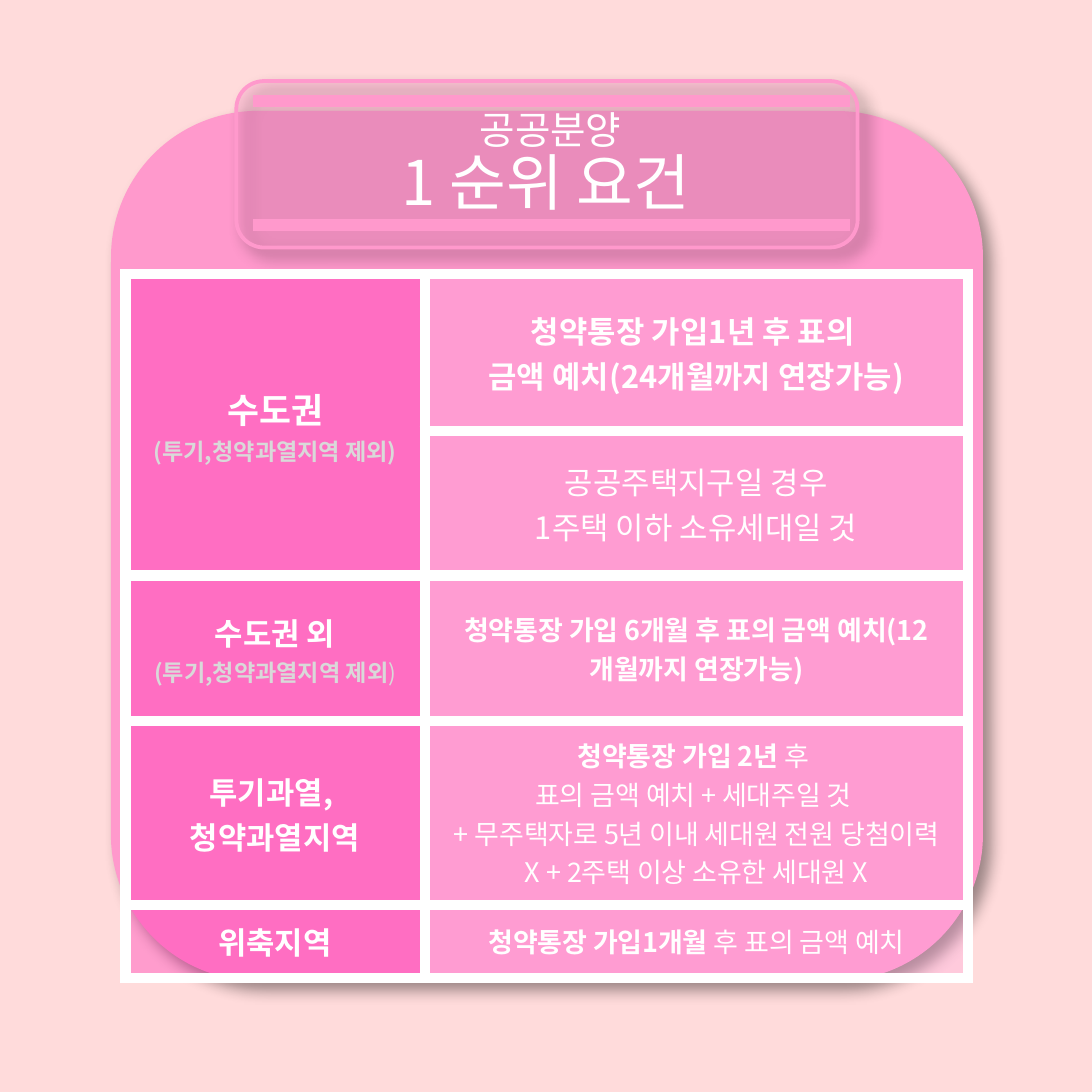
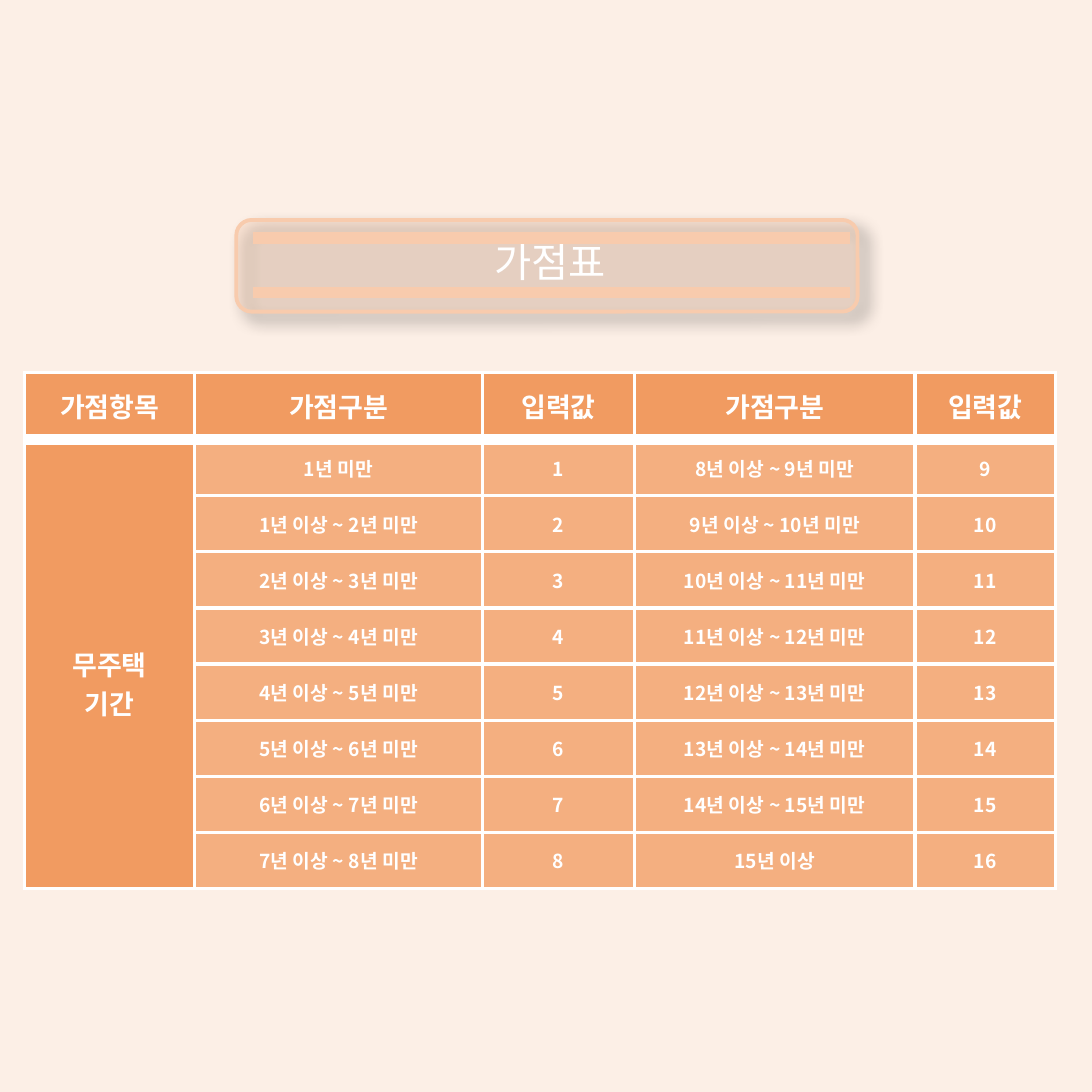
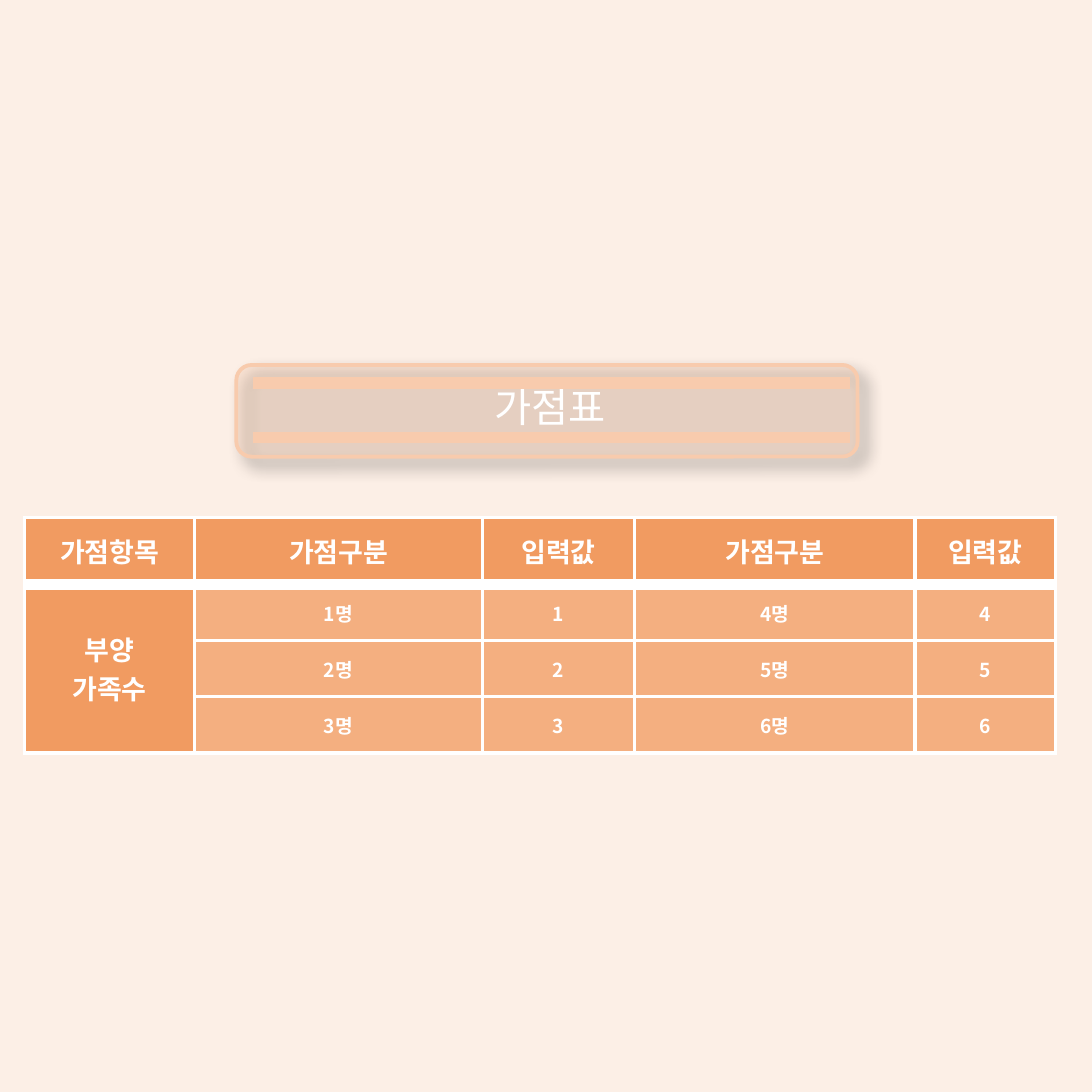
from dataclasses import dataclass
from typing import Optional

from lxml.etree import SubElement
from pptx import Presentation
from pptx.dml.color import RGBColor
from pptx.enum.shapes import MSO_CONNECTOR as Connector, MSO_SHAPE as Shape
from pptx.enum.text import MSO_ANCHOR as Anchor, PP_ALIGN as Align
from pptx.oxml.ns import qn
from pptx.util import Cm, Emu, Pt

SIDE = Cm(10)
FONT = "Noto Sans CJK KR"
COLORS = {
    "white": "FFFFFF",
    "gray": "D9D9D9",
    "rose": "FF9999",
    "pink": "FF99CC",
    "magenta": "FF0DAE",
    "orchid": "FFA3E0",
    "cream": "FBE5D6",
    "peach": "F8CBAD",
    "orange": "F19B61",
    "apricot": "F4AF80",
}


@dataclass(frozen=True)
class Span:
    text: str
    size: float
    bold: bool = False
    color: str = "white"


Line = tuple[Span, ...]


@dataclass(frozen=True)
class Cell:
    lines: tuple[Line, ...]
    fill: str
    opacity: int = 100
    anchor: Anchor = Anchor.TOP
    bottom_edge: Optional[float] = None
    margin_top: float = 1.27


@dataclass(frozen=True)
class Band:
    top: float
    height: float
    color: str
    text_offset: float
    rule_offsets: tuple[float, float]
    lines: tuple[Line, ...]


@dataclass(frozen=True)
class Grid:
    left: float
    top: float
    columns: tuple[float, ...]
    rows: tuple[float, ...]
    edge: float
    cells: tuple[tuple[Optional[Cell], ...], ...]


def share(percent: float) -> Emu:
    return Emu(round(SIDE * percent / 100))


def rgb(name: str) -> RGBColor:
    return RGBColor.from_string(COLORS[name])


def set_opacity(element, percent: int) -> None:
    if percent < 100:
        color = next(element.iter(qn("a:srgbClr")))
        SubElement(color, qn("a:alpha"), val=str(percent * 1000))


def add_page(deck, color: str, opacity: int):
    page = deck.slides.add_slide(deck.slide_layouts[6])
    fill = page.background.fill
    fill.solid()
    fill.fore_color.rgb = rgb(color)
    set_opacity(page.element, opacity)
    return page


def write(frame, lines: tuple[Line, ...], spacing: float = 1.0) -> None:
    frame.word_wrap = True
    for index, line in enumerate(lines):
        para = frame.add_paragraph() if index else frame.paragraphs[0]
        para.alignment = Align.CENTER
        para.line_spacing = spacing
        for span in line:
            run = para.add_run()
            run.text = span.text
            run.font.size = Pt(span.size)
            run.font.bold = span.bold
            run.font.color.rgb = rgb(span.color)
            run.font.name = FONT
            SubElement(run.font._element, qn("a:ea"), typeface=FONT)


def add_panel(page, left: float, top: float, width: float, height: float,
              color: str, opacity: int = 100) -> None:
    panel = page.shapes.add_shape(
        Shape.ROUNDED_RECTANGLE, *map(share, (left, top, width, height)))
    panel.fill.solid()
    panel.fill.fore_color.rgb = rgb(color)
    set_opacity(panel.element, opacity)
    panel.line.color.rgb = rgb(color)
    panel.line.width = Pt(1)
    panel.shadow.inherit = False
    effects = next(panel.element.iter(qn("a:effectLst")))
    shadow = SubElement(effects, qn("a:outerShdw"), blurRad=str(Pt(4)), dist=str(Pt(3)),
                        dir="2700000", algn="tl", rotWithShape="0")
    black = SubElement(shadow, qn("a:srgbClr"), val="000000")
    SubElement(black, qn("a:alpha"), val="40000")


def add_band(page, band: Band) -> None:
    add_panel(page, 21.65, band.top, 56.9, band.height, band.color, 30)
    box = page.shapes.add_textbox(
        *map(share, (23.1, band.top + band.text_offset, 54.6, 8.4)))
    box.text_frame.vertical_anchor = Anchor.BOTTOM
    write(box.text_frame, band.lines, 0.9)
    for offset in band.rule_offsets:
        y = share(band.top + offset)
        rule = page.shapes.add_connector(
            Connector.STRAIGHT, share(23.2), y, share(77.85), y)
        rule.line.color.rgb = rgb(band.color)
        rule.line.width = Pt(3)
        SubElement(rule.element.find(qn("p:spPr")), qn("a:effectLst"))


def set_edges(properties, edge: float, bottom: Optional[float]) -> None:
    for index, side in enumerate(("lnL", "lnR", "lnT", "lnB")):
        width = bottom if side == "lnB" and bottom else edge
        line = SubElement(properties, qn(f"a:{side}"), w=str(Pt(width)))
        fill = SubElement(line, qn("a:solidFill"))
        SubElement(fill, qn("a:srgbClr"), val=COLORS["white"])
        properties.insert(index, line)


def add_grid(page, grid: Grid) -> None:
    frame = page.shapes.add_table(
        len(grid.rows), len(grid.columns), share(grid.left), share(grid.top),
        share(sum(grid.columns)), share(sum(grid.rows)))
    table = frame.table
    table.first_row = table.horz_banding = False
    for column, width in zip(table.columns, grid.columns):
        column.width = share(width)
    for row, height in zip(table.rows, grid.rows):
        row.height = share(height)
    elements = list(frame.element.iter(qn("a:tc")))
    for column in range(len(grid.columns)):
        origin = 0
        for row in range(len(grid.rows)):
            content = grid.cells[row][column]
            if content is None:
                content = grid.cells[origin][column]
                last = row + 1 == len(grid.rows)
                if last or grid.cells[row + 1][column] is not None:
                    table.cell(origin, column).merge(table.cell(row, column))
            else:
                origin = row
                write(table.cell(row, column).text_frame, content.lines)
            target = table.cell(row, column)
            target.vertical_anchor = content.anchor
            target.margin_top = share(content.margin_top)
            target.fill.solid()
            target.fill.fore_color.rgb = rgb(content.fill)
            properties = elements[row * len(grid.columns) + column].find(qn("a:tcPr"))
            set_opacity(properties, content.opacity)
            set_edges(properties, grid.edge, content.bottom_edge)


def region(*lines: Line) -> Cell:
    return Cell(lines, "magenta", 30, Anchor.MIDDLE)


def condition(*lines: Line) -> Cell:
    return Cell(lines, "orchid", 30, Anchor.MIDDLE)


def add_requirements(deck) -> None:
    page = add_page(deck, "rose", 35)
    add_panel(page, 10.35, 10.35, 79.5, 79.3, "pink")
    add_band(page, Band(7.42, 15.25, "pink", 5.5, (1.85, 13.2), (
        (Span("공공분양", 10),),
        (Span("1 순위 요건", 16), Span(" ", 10)),
    )))
    excluded = "(투기,청약과열지역 제외"
    cells = (
        (region((Span("수도권", 9, True),), (Span(excluded + ")", 6, True, "gray"),)),
         condition((Span("청약통장 가입1년 후 표의 ", 8, True),),
                   (Span("금액 예치(24개월까지 연장가능)", 8, True),))),
        (None,
         condition((Span("공공주택지구일 경우", 8),),
                   (Span("1주택 이하 소유세대일 것", 8),))),
        (region((Span("수도권 외", 8, True),),
                (Span(excluded, 6, True, "gray"), Span(")", 6, False, "gray"))),
         condition((Span("청약통장 가입 6개월 후 표의 금액 예치(12개월까지 연장가능)", 7, True),))),
        (region((Span("투기과열, ", 8, True),), (Span("청약과열지역", 8, True),)),
         condition((Span("청약통장 가입 2년 ", 7, True), Span("후 ", 7)),
                   (Span("표의 금액 예치 + 세대주일 것 ", 7),),
                   (Span("+ 무주택자로 5년 이내 세대원 전원 "
                         "당첨이력 X + 2주택 이상 소유한 세대원 X", 7),))),
        (region((Span("위축지역", 8, True),)),
         condition((Span("청약통장 가입1개월 ", 7, True), Span("후 표의 금액 예치", 7)))),
    )
    add_grid(page, Grid(11.5, 25.1, (27.4, 49.75),
                        (14.4, 13.2, 13.35, 16.8, 6.7), 3, cells))


def add_scores(deck, band_top: float, item: tuple[str, ...], labels: list[str],
               item_margin: float = 1.27) -> None:
    page = add_page(deck, "cream", 59)
    add_band(page, Band(band_top, 8.4, "peach", -1.1, (1.65, 6.65),
                        ((Span("가점표", 10.5),),)))
    headings = ("가점항목", "가점구분", "입력값", "가점구분", "입력값")
    cells = [tuple(Cell(((Span(heading, 7, True),),), "orange", bottom_edge=3)
                   for heading in headings)]
    item_cell = Cell(tuple((Span(word, 7, True),) for word in item), "orange",
                     anchor=Anchor.MIDDLE, margin_top=item_margin)
    half = len(labels) // 2
    for index in range(half):
        texts = (labels[index], str(index + 1),
                 labels[index + half], str(index + half + 1))
        cells.append((None if index else item_cell,
                      *(Cell(((Span(text, 5, True),),), "apricot") for text in texts)))
    add_grid(page, Grid(2.25, band_top + 13.95, (15.57, 26.37, 13.92, 25.69, 12.87),
                        (6.15, *[5.14] * half), 1, tuple(cells)))


def main() -> None:
    deck = Presentation()
    deck.slide_width = deck.slide_height = SIDE
    add_requirements(deck)
    years = ["1년 미만",
             *(f"{year}년 이상 ~ {year + 1}년 미만" for year in range(1, 15)),
             "15년 이상"]
    add_scores(deck, 20.15, ("무주택", "기간"), years, 4.85)
    add_scores(deck, 33.43, ("부양", "가족수"), [f"{count}명" for count in range(1, 7)])
    deck.save("out.pptx")


if __name__ == "__main__":
    main()
